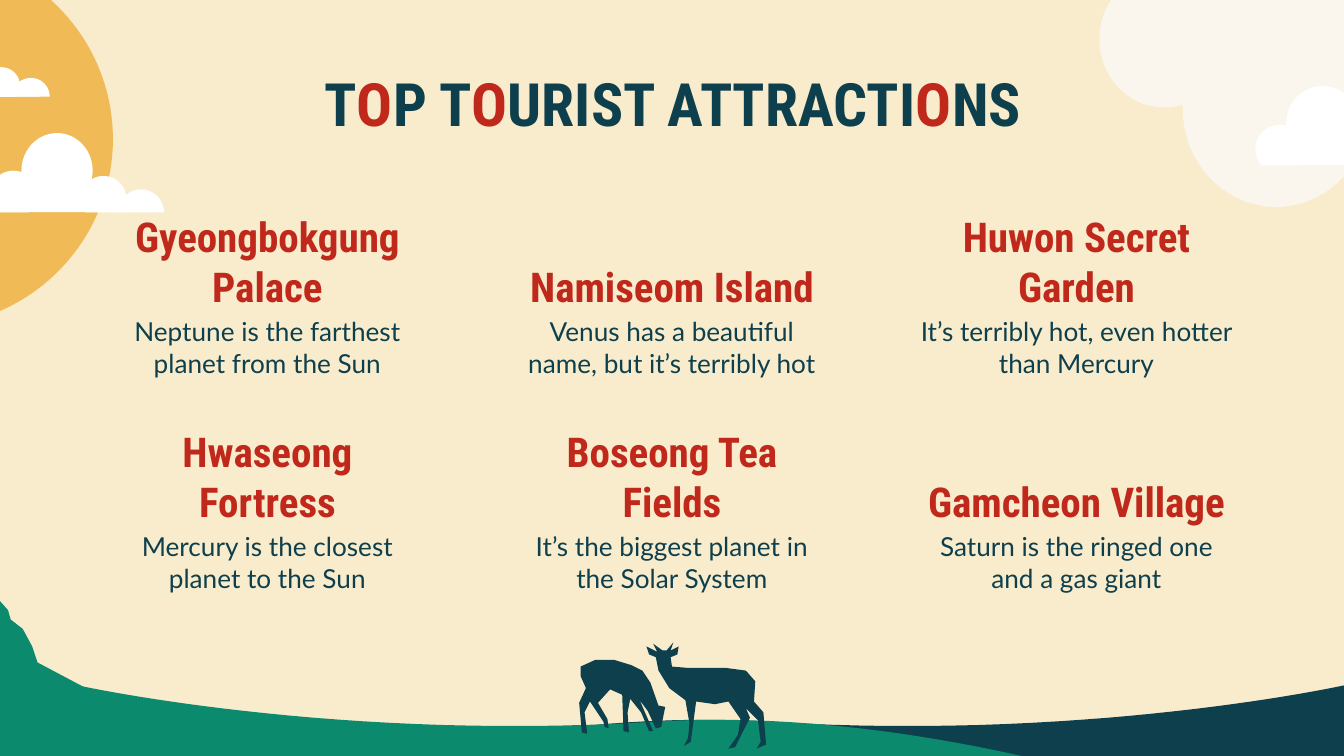
import math
import pptx
import pptx.util
import pptx.dml.color
import pptx.enum.shapes
import pptx.enum.text
from dataclasses import dataclass

PX = 9144  # one px is a hundredth of an inch


@dataclass(frozen=True)
class Theme:
    sand: str = "F8ECCC"
    navy: str = "0E3F4D"
    green: str = "0B8A6E"
    sun: str = "F0BB57"
    white: str = "FFFFFF"
    mist: str = "FAF6ED"
    red: str = "C0281C"
    head: str = "Roboto Condensed"
    body: str = "Lato"
    title: int = 32
    name: int = 22
    note: int = 14


T = Theme()

TITLE = ["T", "O", "P T", "O", "URIST ATTRACTI", "O", "NS"]
SIGHTS = [
    ("Gyeongbokgung Palace", "Neptune is the farthest planet from the Sun"),
    ("Namiseom Island", "Venus has a beautiful name, but it’s terribly hot"),
    ("Huwon Secret Garden", "It’s terribly hot, even hotter than Mercury"),
    ("Hwaseong Fortress", "Mercury is the closest planet to the Sun"),
    ("Boseong Tea Fields", "It’s the biggest planet in the Solar System"),
    ("Gamcheon Village", "Saturn is the ringed one and a gas giant"),
]

# Left, top, width, height
OVALS = [
    (T.sun, (-196, -36, 280, 279)),
    (T.mist, (880, 8, 139, 146)),
    (T.mist, (818, -22, 97, 102)),
    (T.white, (16, 99, 53, 56)),
    (T.white, (957, 64, 54, 56)),
]
BASES = [
    (T.mist, (838, 0, 162, 35)),
    (T.white, (0, 61, 30, 11)),
    (T.white, (0, 145, 113, 13)),
    (T.white, (941, 110, 59, 13)),
]
# Middle, top, radius, flat base
PUFFS = [(23, 58, 14, 72), (1, 50, 14, 72), (105, 141, 17, 158),
         (77, 131, 17, 158), (10, 127, 18, 158), (952, 93, 18, 123)]

# The right slope as Bezier control points; the left one mirrors it
SLOPE = [[(1000, 510), (1000, 510), (810, 552), (571, 537)],
         [(571, 537), (396, 526), (224, 582), (224, 582)]]
FLIP = 1058
CLIFF = [(-2, 445), (6, 454), (8, 461), (17, 468), (24, 481), (28, 493),
         (62, 511), (92, 524), (92, 582), (-2, 582)]
GRAZER = [(495, 526), (490, 525), (484, 508), (478, 499), (470, 495), (457, 491),
          (443, 491), (432, 496), (432, 503), (436, 512), (431, 523), (433, 545),
          (437, 546), (435, 530), (439, 522), (449, 537), (450, 541), (453, 542),
          (452, 535), (445, 523), (454, 513), (463, 517), (464, 544), (468, 545),
          (467, 530), (469, 520), (477, 530), (483, 544), (486, 544), (476, 521),
          (482, 529), (488, 542), (492, 541)]
WATCHER = [(493, 484), (486, 479), (489, 485), (481, 481), (483, 487), (488, 489),
           (490, 499), (498, 512), (510, 521), (513, 538), (512, 549), (509, 555),
           (514, 552), (518, 522), (532, 524), (542, 522), (551, 535), (549, 547),
           (542, 557), (547, 556), (558, 534), (555, 527), (564, 536), (566, 552),
           (563, 557), (570, 554), (568, 530), (561, 522), (562, 507), (555, 499),
           (540, 497), (512, 497), (500, 496), (499, 489), (504, 487), (505, 481),
           (499, 484), (501, 478), (496, 484)]


def rgb(hue):
    return pptx.dml.color.RGBColor.from_string(hue)


def emu(nums):
    return [round(n * PX) for n in nums]


def paint(shape, hue):
    shape.fill.solid()
    shape.fill.fore_color.rgb = rgb(hue)
    shape.line.fill.background()
    shape.shadow.inherit = False


def curve(ctrl, steps=30):
    """Points along one cubic Bezier curve."""
    dots = []
    for i in range(steps + 1):
        t = i / steps
        w = [math.comb(3, k) * t ** k * (1 - t) ** (3 - k) for k in range(4)]
        dots.append([sum(a * p[k] for a, p in zip(w, ctrl)) for k in (0, 1)])
    return dots


def puff(mid, top, rad, base, steps=48):
    """A circle cut flat at its base."""
    turns = [2 * math.pi * i / steps for i in range(steps)]
    return [(mid + rad * math.cos(a), min(base, top + rad + rad * math.sin(a)))
            for a in turns]


def draw(dots, hue):
    dots = [emu(p) for p in dots]
    pen = shapes.build_freeform(*dots[0], scale=1.0)
    pen.add_line_segments(dots[1:], close=True)
    paint(pen.convert_to_shape(), hue)


def style(run, face, size, hue, bold):
    run.font.name, run.font.size, run.font.bold = face, pptx.util.Pt(size), bold
    run.font.color.rgb = rgb(hue)


def setup(frame, anchor):
    frame.word_wrap = True
    frame.auto_size = pptx.enum.text.MSO_AUTO_SIZE.NONE
    frame.vertical_anchor = anchor
    frame.margin_left = frame.margin_right = 10 * PX
    frame.margin_top = frame.margin_bottom = 10 * PX
    frame.paragraphs[0].alignment = pptx.enum.text.PP_ALIGN.CENTER


def label(text, box, anchor, *look):
    frame = shapes.add_textbox(*emu(box)).text_frame
    frame.text = text
    setup(frame, anchor)
    style(frame.paragraphs[0].runs[0], *look)


deck = pptx.Presentation()
deck.slide_width, deck.slide_height = emu((1000, 562.5))
slide = deck.slides.add_slide(deck.slide_layouts[5])
slide.background.fill.solid()
slide.background.fill.fore_color.rgb = rgb(T.sand)
shapes = slide.shapes
ANCHOR = pptx.enum.text.MSO_ANCHOR
SHAPE = pptx.enum.shapes.MSO_SHAPE

slope = [p for part in SLOPE for p in curve(part)] + [(1000, 582)]
draw(slope, T.navy)
draw(CLIFF, T.green)
draw([(FLIP - x, y) for x, y in slope], T.green)

for kind, group in ((SHAPE.OVAL, OVALS), (SHAPE.RECTANGLE, BASES)):
    for hue, box in group:
        paint(shapes.add_shape(kind, *emu(box)), hue)
for cap in PUFFS:
    draw(puff(*cap), T.white)

title = shapes.title
title.left, title.top, title.width, title.height = emu((114, 45, 773, 63))
setup(title.text_frame, ANCHOR.MIDDLE)
for i, part in enumerate(TITLE):
    run = title.text_frame.paragraphs[0].add_run()
    run.text = part
    style(run, T.head, T.title, T.red if i % 2 else T.navy, True)

for i, (name, note) in enumerate(SIGHTS):
    row, col = divmod(i, 3)
    x, y = 72 + 301 * col, 185 + 160 * row
    label(note, (x, y + 40, 254, 83), ANCHOR.TOP, T.body, T.note, T.navy, False)
    label(name, (x, y, 254, 56), ANCHOR.BOTTOM, T.head, T.name, T.red, True)

for deer in (GRAZER, WATCHER):
    draw(deer, T.navy)

deck.save("out.pptx")
